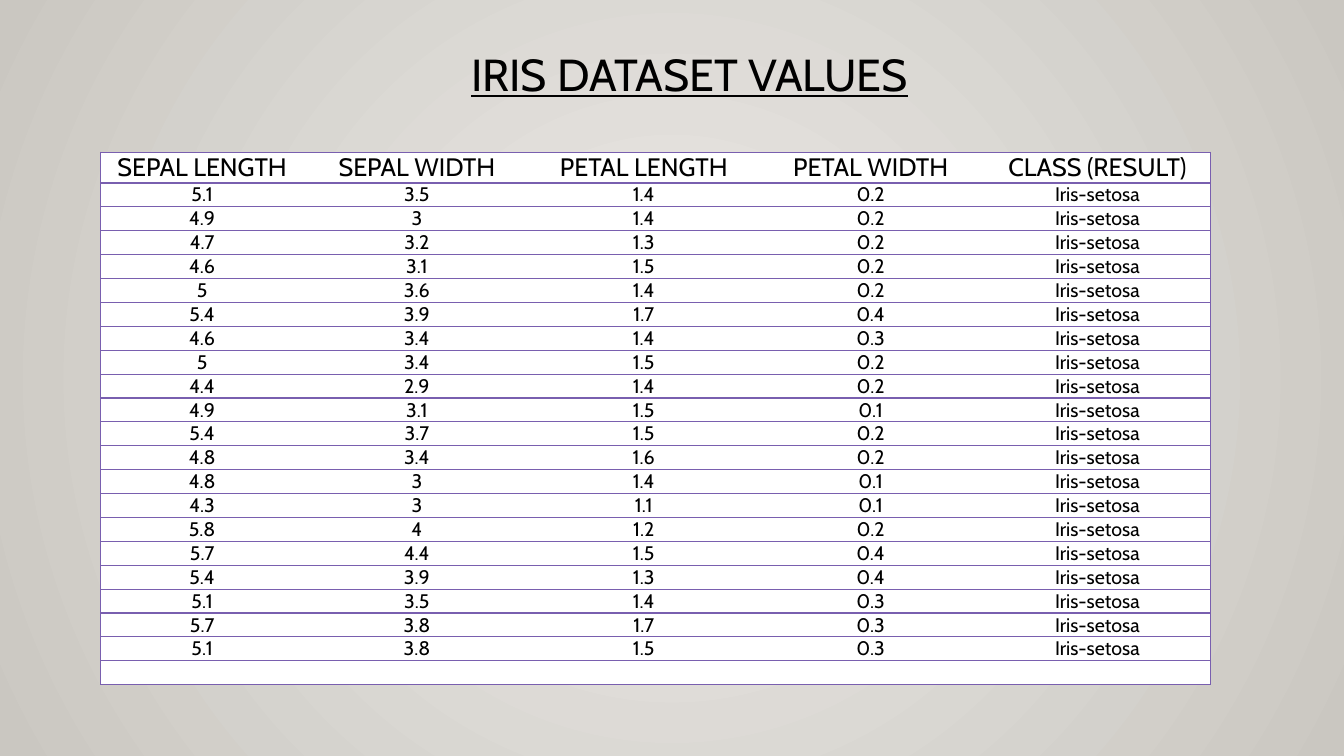
from dataclasses import dataclass

from lxml import etree
from pptx import Presentation
from pptx import util as u
from pptx.dml.color import RGBColor
from pptx.enum import text
from pptx.oxml.ns import qn


# Colours and type sizes
@dataclass(frozen=True)
class Theme:
    font: str = "Cabin"
    ink: str = "000000"
    paper: str = "FFFFFF"
    rule: str = "795FAF"
    glow: str = "ECEAE7"
    edge: str = "CAC7C1"
    title: int = 32
    head: int = 18
    body: int = 14


THEME = Theme()
NO_STYLE = "{2D5ABB26-0587-4C30-8999-92F81FD0307C}"

# Table content
HEADS = ["SEPAL LENGTH", "SEPAL WIDTH", "PETAL LENGTH", "PETAL WIDTH",
         "CLASS (RESULT)"]
VALUES = """
5.1 3.5 1.4 0.2
4.9 3 1.4 0.2
4.7 3.2 1.3 0.2
4.6 3.1 1.5 0.2
5 3.6 1.4 0.2
5.4 3.9 1.7 0.4
4.6 3.4 1.4 0.3
5 3.4 1.5 0.2
4.4 2.9 1.4 0.2
4.9 3.1 1.5 0.1
5.4 3.7 1.5 0.2
4.8 3.4 1.6 0.2
4.8 3 1.4 0.1
4.3 3 1.1 0.1
5.8 4 1.2 0.2
5.7 4.4 1.5 0.4
5.4 3.9 1.3 0.4
5.1 3.5 1.4 0.3
5.7 3.8 1.7 0.3
5.1 3.8 1.5 0.3
"""
FLOWER = "Iris-setosa"
WIDTHS = [2.01] + [2.25] * 4


def add_run(para, words, size, line=False):
    run = para.add_run()
    run.text = words
    font = run.font
    font.name = THEME.font
    font.size = u.Pt(size)
    font.underline = line
    font.color.rgb = RGBColor.from_string(THEME.ink)


def set_back(slide):
    fill = slide.background.fill
    fill.gradient()
    for stop, tone in zip(fill.gradient_stops, (THEME.glow, THEME.edge)):
        stop.color.rgb = RGBColor.from_string(tone)
    # Turn the linear fade into a round one
    grad = slide.element.find(".//" + qn("a:gradFill"))
    grad.remove(grad.find(qn("a:lin")))
    ring = etree.SubElement(grad, qn("a:path"), {"path": "circle"})
    etree.SubElement(ring, qn("a:fillToRect"),
                     {side: "50000" for side in "ltrb"})


def add_title(slide, words):
    title = slide.shapes.title
    title.left, title.top = u.Inches(1.59), u.Inches(0.47)
    title.width, title.height = u.Inches(10.5), u.Inches(1.55)
    frame = title.text_frame
    frame.auto_size = text.MSO_AUTO_SIZE.NONE
    frame.vertical_anchor = text.MSO_ANCHOR.TOP
    para = frame.paragraphs[0]
    para.alignment = text.PP_ALIGN.CENTER
    para.line_spacing = 0.9
    add_run(para, words, THEME.title, True)


def add_edges(cell, sides):
    props = cell._tc.get_or_add_tcPr()
    for side in sides:
        line = etree.SubElement(props, qn("a:ln" + side),
                                {"w": str(u.Pt(1))})
        fill = etree.SubElement(line, qn("a:solidFill"))
        etree.SubElement(fill, qn("a:srgbClr"), {"val": THEME.rule})


def fill_cell(cell, words, size, sides):
    add_edges(cell, sides)
    cell.fill.solid()
    cell.fill.fore_color.rgb = RGBColor.from_string(THEME.paper)
    cell.margin_left = cell.margin_right = u.Inches(0.02)
    cell.margin_top = cell.margin_bottom = 0
    cell.vertical_anchor = text.MSO_ANCHOR.MIDDLE
    para = cell.text_frame.paragraphs[0]
    para.alignment = text.PP_ALIGN.CENTER
    if words:
        add_run(para, words, size)
    else:
        # An empty cell keeps the body type size, and so its row height
        end = etree.SubElement(para._p, qn("a:endParaRPr"),
                               {"sz": str(size * 100)})
        etree.SubElement(end, qn("a:latin"), {"typeface": THEME.font})


def add_grid(slide, rows):
    last = len(WIDTHS) - 1
    frame = slide.shapes.add_table(
        len(rows), len(WIDTHS), u.Inches(1), u.Inches(1.51),
        u.Inches(sum(WIDTHS)), u.Inches(5.2))
    grid = frame.table
    grid.first_row = grid.horz_banding = False
    grid._tbl.tblPr.find(qn("a:tableStyleId")).text = NO_STYLE
    for col, width in zip(grid.columns, WIDTHS):
        col.width = u.Inches(width)
    for r, row in enumerate(rows):
        # Rows grow to fit their line of text
        grid.rows[r].height = u.Inches(0.17)
        size = THEME.body if r else THEME.head
        for c, words in enumerate(row):
            sides = {0: "LTB", last: "RTB"}.get(c, "TB")
            fill_cell(grid.cell(r, c), words, size, sides)
    frame.height = u.Inches(5.2)


def main():
    deck = Presentation()
    deck.slide_width, deck.slide_height = u.Inches(13.33), u.Inches(7.5)
    slide = deck.slides.add_slide(deck.slide_layouts[5])
    set_back(slide)
    add_title(slide, "IRIS DATASET VALUES")
    body = [line.split() + [FLOWER] for line in VALUES.strip().splitlines()]
    add_grid(slide, [HEADS, *body, [""] * len(HEADS)])
    deck.save("out.pptx")


if __name__ == "__main__":
    main()
